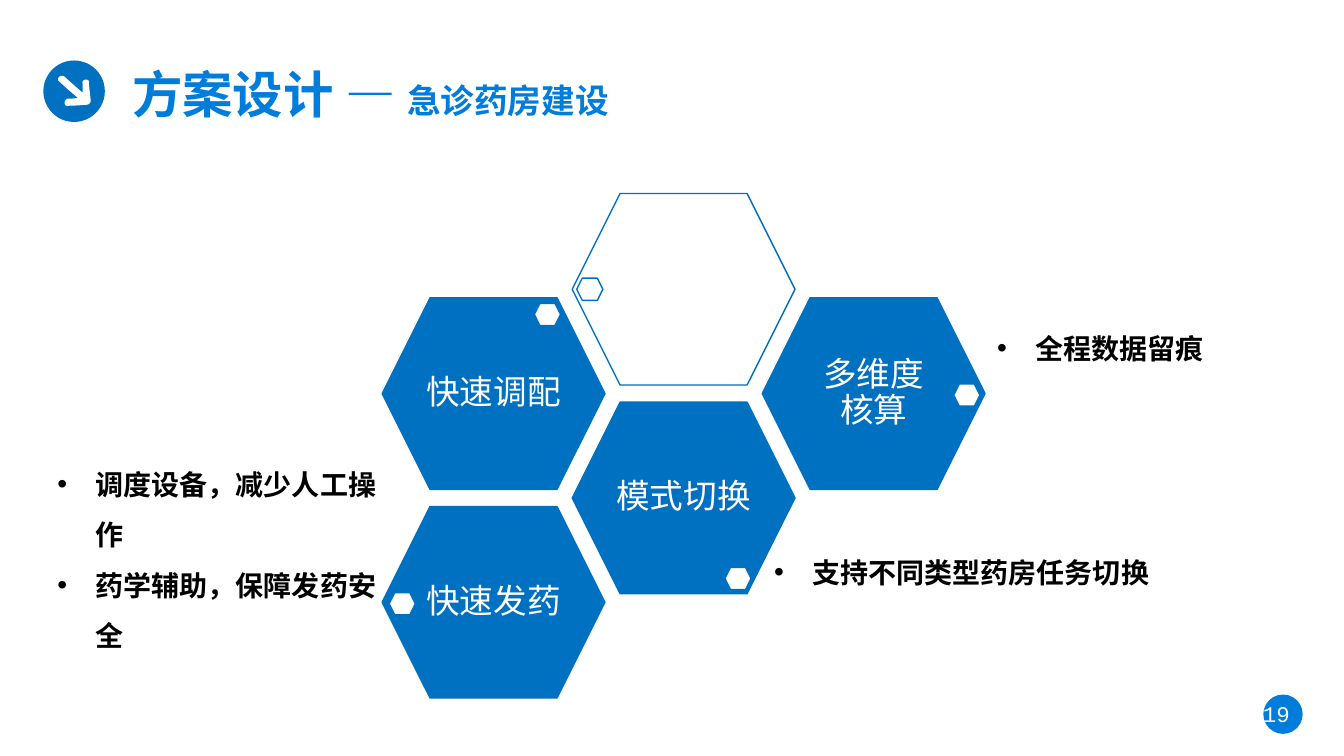
from dataclasses import dataclass

from lxml.etree import SubElement
from pptx import Presentation
from pptx.dml.color import RGBColor
from pptx.enum.shapes import MSO_SHAPE
from pptx.enum.text import MSO_ANCHOR, MSO_AUTO_SIZE, PP_ALIGN
from pptx.oxml.ns import qn
from pptx.shapes.autoshape import Shape
from pptx.slide import Slide
from pptx.text.text import TextFrame, _Paragraph
from pptx.util import Emu, Pt

PX = 9144  # EMU per px, 100 px to the inch
BLUE = RGBColor(0x00, 0x70, 0xC0)
BRIGHT = RGBColor(0x00, 0x7D, 0xDA)
WHITE = RGBColor(0xFF, 0xFF, 0xFF)
BLACK = RGBColor(0x00, 0x00, 0x00)
CJK = "Noto Sans CJK SC"

HEX_W, HEX_H = 221, 190
MARK_W, MARK_H = 26, 22
COL_X, COL_STEP = 379, 188.5
ROW_Y, ROW_STEP = 192, 103.5

ARROW_START = (82, 92)
ARROW_CURVES = [
    ((82, 92), (69, 81), (64, 76)),
    ((62, 75), (60, 75), (59, 76)),
    ((57, 78), (57, 80), (59, 81)),
    ((64, 86), (77, 97), (77, 97)),
    ((77, 97), (75, 98), (67, 98)),
    ((66, 98), (64, 100), (64, 102)),
    ((64, 104), (66, 106), (68, 105)),
    ((74, 105), (86, 104), (86, 104)),
    ((88, 104), (90, 102), (90, 100)),
    ((90, 100), (89, 90), (88, 82)),
    ((89, 80), (87, 79), (85, 79)),
    ((83, 79), (81, 81), (82, 83)),
    ((82, 89), (82, 92), (82, 92)),
]


@dataclass
class Cell:
    """A hexagon of the honeycomb with its small marker; no lines means outlined."""
    col: int
    row: int
    mark_x: int
    mark_y: int
    lines: tuple[str, ...] = ()


@dataclass
class Note:
    x: int
    y: int
    w: int
    h: int
    items: tuple[str, ...]
    spacing: float = 1.0


CELLS = [
    Cell(0, 3, 386, 588, ("快速发药",)),
    Cell(1, 2, 719, 563, ("模式切换",)),
    Cell(0, 1, 530, 301, ("快速调配",)),
    Cell(1, 0, 572, 276),
    Cell(2, 1, 946, 381, ("多维度", "核算")),
]
NOTES = [
    Note(758, 546, 434, 55, ("支持不同类型药房任务切换",)),
    Note(979, 324, 261, 38, ("全程数据留痕",)),
    Note(47, 442, 362, 120, ("调度设备，减少人工操作", "药学辅助，保障发药安全"), 1.5),
]


def px(n: float) -> Emu:
    return Emu(round(n * PX))


def add_run(p: _Paragraph, text: str, size: int, color: RGBColor,
            font: str = CJK, bold: bool = False) -> None:
    r = p.add_run()
    r.text = text
    r.font.size, r.font.bold, r.font.name = Pt(size), bold, font
    r.font.color.rgb = color
    SubElement(r.font._element, qn("a:ea"), typeface=CJK)


def add_bullet(p: _Paragraph) -> None:
    pPr = p._p.get_or_add_pPr()
    pPr.set("marL", str(px(38)))
    pPr.set("indent", str(-px(38)))
    SubElement(pPr, qn("a:buFont"), typeface="Arial")
    SubElement(pPr, qn("a:buChar"), char="•")


def add_filled(s: Slide, kind: MSO_SHAPE, x: float, y: float, w: int, h: int,
               fill: RGBColor, line: RGBColor | None = None) -> Shape:
    sp = s.shapes.add_shape(kind, px(x), px(y), px(w), px(h))
    sp.shadow.inherit = False
    sp.fill.solid()
    sp.fill.fore_color.rgb = fill
    if line is None:
        sp.line.fill.background()
    else:
        sp.line.color.rgb = line
        sp.line.width = Pt(1)
    return sp


def add_hexagon(s: Slide, x: float, y: float, w: int, h: int, fill: RGBColor) -> Shape:
    sp = add_filled(s, MSO_SHAPE.HEXAGON, x, y, w, h, fill, BLUE)
    sp.adjustments[0] = 0.25
    return sp


def add_text_box(s: Slide, x: int, y: int, w: int, h: int, wrap: bool) -> TextFrame:
    tf = s.shapes.add_textbox(px(x), px(y), px(w), px(h)).text_frame
    tf.word_wrap = wrap
    return tf


def add_cell(s: Slide, cell: Cell) -> None:
    sp = add_hexagon(s, COL_X + cell.col * COL_STEP, ROW_Y + cell.row * ROW_STEP,
                     HEX_W, HEX_H, BLUE if cell.lines else WHITE)
    if cell.lines:
        tf = sp.text_frame
        tf.margin_left = tf.margin_right = tf.margin_top = tf.margin_bottom = 0
        tf.vertical_anchor = MSO_ANCHOR.MIDDLE
        p = tf.paragraphs[0]
        p.alignment, p.line_spacing = PP_ALIGN.CENTER, 0.9
        for i, line in enumerate(cell.lines):
            if i:
                p.add_line_break()
            add_run(p, line, 24, WHITE)
    add_hexagon(s, cell.mark_x, cell.mark_y, MARK_W, MARK_H, WHITE)


def add_note(s: Slide, note: Note) -> None:
    tf = add_text_box(s, note.x, note.y, note.w, note.h, wrap=False)
    for i, item in enumerate(note.items):
        p = tf.add_paragraph() if i else tf.paragraphs[0]
        p.line_spacing = note.spacing
        add_bullet(p)
        add_run(p, item, 20, BLACK, bold=True)


def add_arrow(s: Slide) -> None:
    """Draw the arrow outline, each Bézier curve as six short segments."""
    points, start = [], ARROW_START
    for a, b, end in ARROW_CURVES:
        for t in (k / 6 for k in range(1, 7)):
            u = 1 - t
            points.append(tuple(
                px(u**3 * p0 + 3 * u * u * t * p1 + 3 * u * t * t * p2 + t**3 * p3)
                for p0, p1, p2, p3 in zip(start, a, b, end)))
        start = end
    builder = s.shapes.build_freeform(*map(px, ARROW_START))
    builder.add_line_segments(points)
    sp = builder.convert_to_shape()
    sp.shadow.inherit = False
    sp.fill.solid()
    sp.fill.fore_color.rgb = WHITE
    sp.line.fill.background()


def add_title(s: Slide) -> None:
    sp = s.shapes.title
    sp.left, sp.top, sp.width, sp.height = map(px, (121, 58, 517, 71))
    tf = sp.text_frame
    tf.auto_size = MSO_AUTO_SIZE.NONE
    tf.vertical_anchor = MSO_ANCHOR.TOP
    p = tf.paragraphs[0]
    p.alignment = PP_ALIGN.LEFT
    add_run(p, "方案设计 — ", 36, BRIGHT, "Calibri", True)
    add_run(p, "急诊药房建设", 24, BRIGHT, "Calibri", True)


def add_page_number(s: Slide) -> None:
    add_filled(s, MSO_SHAPE.OVAL, 1253, 689, 39, 39, BRIGHT)
    p = add_text_box(s, 1237, 690, 71, 37, wrap=True).paragraphs[0]
    p.alignment = PP_ALIGN.CENTER
    add_run(p, "19 ", 16, WHITE, "Courier New")


def main() -> None:
    prs = Presentation()
    prs.slide_width, prs.slide_height = px(1333), px(750)
    s = prs.slides.add_slide(prs.slide_layouts[5])
    add_title(s)
    add_filled(s, MSO_SHAPE.OVAL, 43, 60, 61, 61, BLUE)
    add_arrow(s)
    add_page_number(s)
    for cell in CELLS:
        add_cell(s, cell)
    for note in NOTES:
        add_note(s, note)
    prs.save("out.pptx")


if __name__ == "__main__":
    main()
